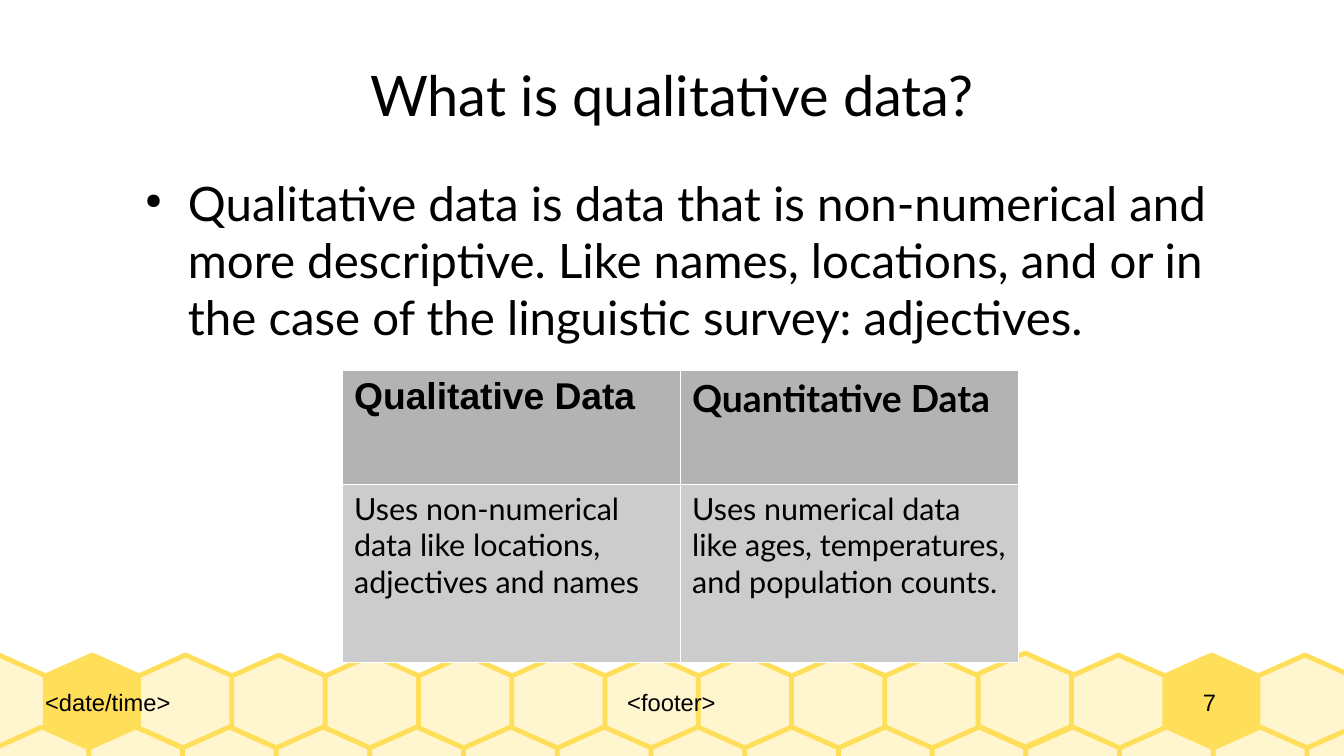
"""Build a slide on qualitative data above a honeycomb strip."""
from lxml.etree import SubElement
from pptx import Presentation
from pptx.dml.color import RGBColor
from pptx.enum.text import MSO_ANCHOR, PP_ALIGN
from pptx.oxml import parse_xml
from pptx.oxml.ns import nsdecls, qn
from pptx.util import Pt

THEME = {
    "ink": "000000", "gold": "FFDE59", "cream": "FFF5CE",
    "head": "B3B3B3", "cell": "CCCCCC", "rule": "FFFFFF",
    "title": {"name": "Lato", "size": Pt(33)},
    "body": {"name": "Lato", "size": Pt(28)},
    "foot": {"name": "Arial", "size": Pt(14)},
    "left head": {"name": "Arial", "size": Pt(22), "bold": True},
    "right head": {"name": "Lato", "size": Pt(22), "bold": True},
    "fact": {"name": "Lato", "size": Pt(18), "bold": False},
}
LEFT, MID = PP_ALIGN.LEFT, PP_ALIGN.CENTER
TEXTS = [
    ("<date/time>", "foot", LEFT, (45, 655, 321, 94)),
    ("<footer>", "foot", MID, (366, 655, 611, 94)),
    ("7", "foot", MID, (1133, 655, 153, 94)),
    ("What is qualitative data?", "title", MID, (67, 31, 1210, 127)),
]
POINT = ("Qualitative data is data that is non-numerical and more descriptive. "
         "Like names, locations, and or in the case of the linguistic survey: "
         "adjectives.", "body", LEFT, (131, 122, 1089, 275))
TABLE = [
    [("Qualitative Data", "left head", "head"),
     ("Quantitative Data", "right head", "head")],
    [("Uses non-numerical data like locations, adjectives and names",
      "fact", "cell"),
     ("Uses numerical data like ages, temperatures, and population counts.",
      "fact", "cell")],
]
GRID = {"left": 342, "top": 370, "cols": [338, 338], "rows": [114, 178]}
COMB = [(-48, 1258, 655, {1, 13}, {11}), (-5, 1307, 727, set(), set())]
COUNT, SIDE, LIFT = 15, 94, 2
HEX = [(47, 0), (0, 21), (0, 73), (47, 94), (94, 73), (94, 21)]


def px(num):
    return round(num * 914400 / 122)


def tint(name):
    return RGBColor.from_string(THEME[name])


def put(item, vals):
    for key, val in vals.items():
        setattr(item, key, val)


def write(para, text, style):
    run = para.add_run()
    run.text = text
    put(run.font, THEME[style])
    run.font.color.rgb = tint("ink")


def add_hex(slide, left, top, fill):
    pts = [(px(left + x), px(top + y)) for x, y in HEX]
    pen = slide.shapes.build_freeform(*pts[0], scale=1.0)
    pen.add_line_segments(pts[1:], close=True)
    cell = pen.convert_to_shape()
    cell.shadow.inherit = False
    cell.fill.solid()
    cell.fill.fore_color.rgb = tint(fill)
    cell.line.color.rgb = tint("gold")
    cell.line.width = Pt(2.83)


def add_comb(slide):
    for first, last, top, full, high in COMB:
        step = (last - first) / (COUNT - 1)
        for num in range(COUNT):
            add_hex(slide, first + num * step, top - LIFT * (num in high),
                    "gold" if num in full else "cream")


def add_text(slide, text, style, align, area, dot=False):
    frame = slide.shapes.add_textbox(*map(px, area)).text_frame
    put(frame, {"word_wrap": True, "vertical_anchor": MSO_ANCHOR.MIDDLE,
                "margin_left": 0, "margin_right": 0,
                "margin_top": 0, "margin_bottom": 0})
    para = frame.paragraphs[0]
    para.alignment = align
    if dot:
        add_dot(para)
    write(para, text, style)


def add_dot(para):
    para.space_after = Pt(10.6)
    props = para._p.get_or_add_pPr()
    props.set("marL", str(px(57)))
    props.set("indent", str(px(-43)))
    hue = SubElement(props, qn("a:buClr"))
    SubElement(hue, qn("a:srgbClr"), val=THEME["ink"])
    SubElement(props, qn("a:buSzPct"), val="45000")
    SubElement(props, qn("a:buChar"), char="●")


def add_rules(cell):
    props = cell._tc.get_or_add_tcPr()
    for spot, edge in enumerate(("lnL", "lnR", "lnT", "lnB")):
        props.insert(spot, parse_xml(
            f'<a:{edge} {nsdecls("a")} w="720"><a:solidFill>'
            f'<a:srgbClr val="{THEME["rule"]}"/></a:solidFill></a:{edge}>'))


def add_grid(slide):
    cols, rows = GRID["cols"], GRID["rows"]
    area = (GRID["left"], GRID["top"], sum(cols), sum(rows))
    table = slide.shapes.add_table(len(rows), len(cols), *map(px, area)).table
    put(table, {"first_row": False, "horz_banding": False})
    for col, wide in zip(table.columns, cols):
        col.width = px(wide)
    for row, tall, data in zip(table.rows, rows, TABLE):
        row.height = px(tall)
        for cell, (text, style, fill) in zip(row.cells, data):
            write(cell.text_frame.paragraphs[0], text, style)
            cell.fill.solid()
            cell.fill.fore_color.rgb = tint(fill)
            add_rules(cell)


def main():
    deck = Presentation()
    put(deck, {"slide_width": px(1344), "slide_height": px(756)})
    slide = deck.slides.add_slide(deck.slide_layouts[6])
    add_comb(slide)
    for item in TEXTS:
        add_text(slide, *item)
    add_text(slide, *POINT, dot=True)
    add_grid(slide)
    deck.save("out.pptx")


if __name__ == "__main__":
    main()
